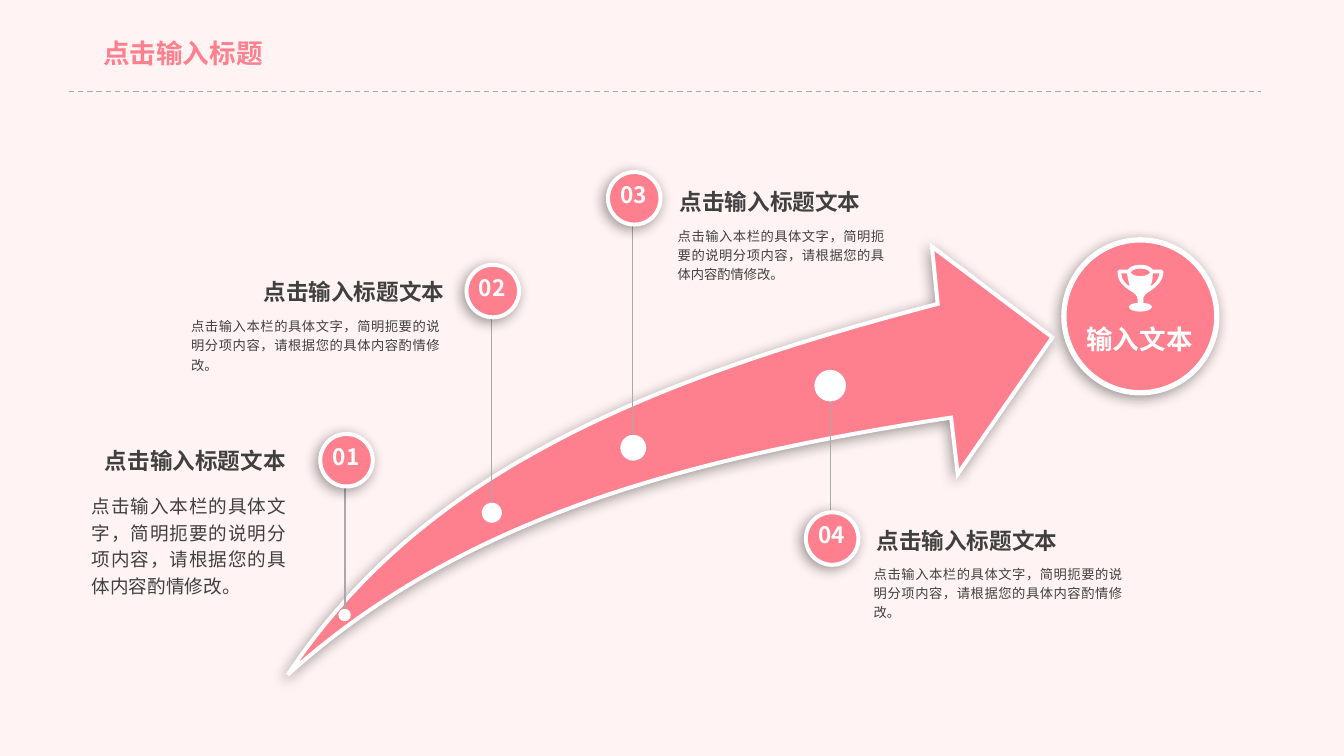
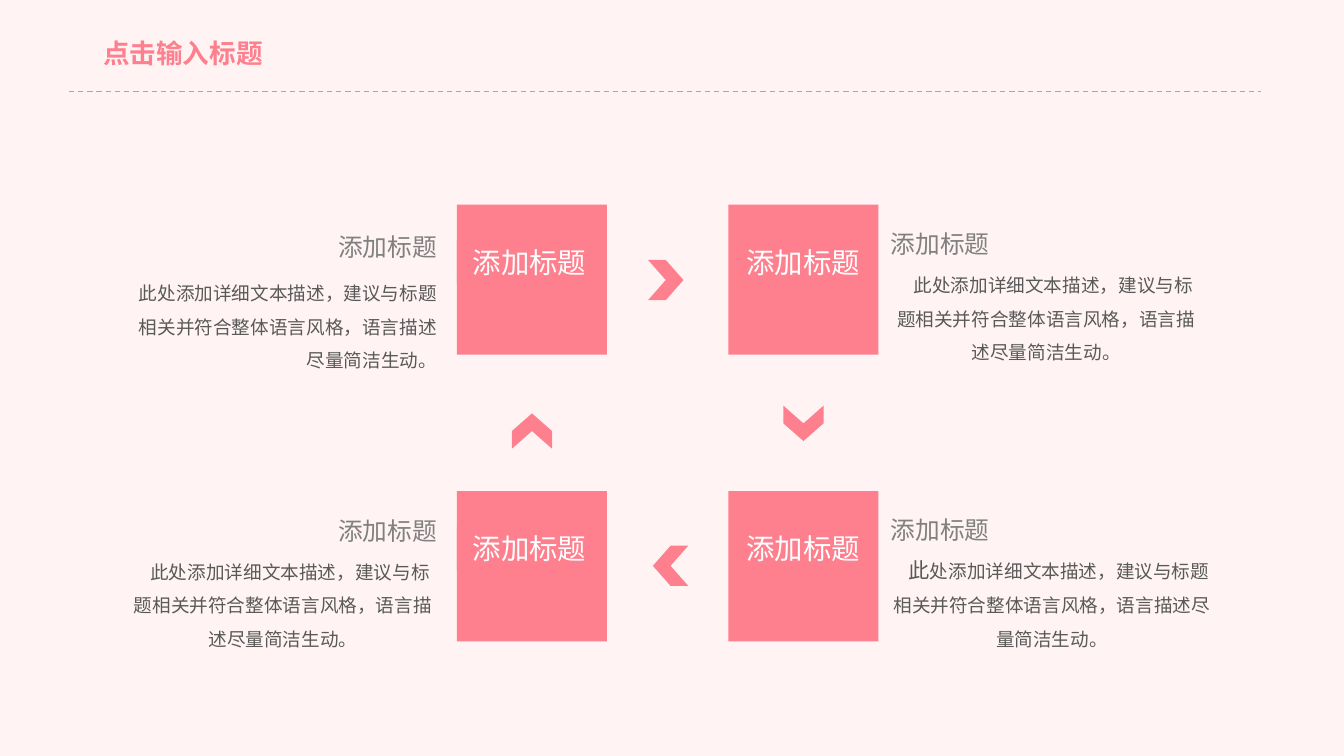
from lxml import etree
from pptx import Presentation
from pptx.dml.color import RGBColor
from pptx.enum.dml import MSO_LINE
from pptx.enum.shapes import MSO_CONNECTOR, MSO_SHAPE
from pptx.enum.text import MSO_ANCHOR, PP_ALIGN
from pptx.oxml.ns import qn
from pptx.util import Inches, Pt

WIDTH, HEIGHT = 14.06, 7.91
FONT = "Noto Sans CJK SC"
COLORS = {
    "background": "FFF4F3", "pink": "FE7F8D", "white": "FFFFFF", "number": "FCFCFC",
    "dark": "404040", "body": "595959", "heading": "808080", "rule": "A6AAA9",
}
OVAL, RECTANGLE, CHEVRON = MSO_SHAPE.OVAL, MSO_SHAPE.RECTANGLE, MSO_SHAPE.CHEVRON
STRAIGHT, DASH = MSO_CONNECTOR.STRAIGHT, MSO_LINE.DASH
TOP, MIDDLE = MSO_ANCHOR.TOP, MSO_ANCHOR.MIDDLE
LEFT, CENTER, RIGHT, JUSTIFY = PP_ALIGN.LEFT, PP_ALIGN.CENTER, PP_ALIGN.RIGHT, PP_ALIGN.JUSTIFY

TITLE = "点击输入标题"
STEP_HEADING = "点击输入标题文本"
STEP_BODY = "点击输入本栏的具体文字，简明扼要的说明分项内容，请根据您的具体内容酌情修改。"
GOAL = "输入文本"
CYCLE_HEADING = "添加标题"
CYCLE_BODY = "此处添加详细文本描述，建议与标题相关并符合整体语言风格，语言描述尽量简洁生动。"

# Dot is left, top, diameter; badge is left, top; heading and body are left, top, width.
STEPS = [
    {"number": "01", "dot": (3.54, 6.37, 0.13), "badge": (3.35, 4.54), "align": RIGHT,
     "line": (3.61, 6.43), "heading": (0.86, 4.6, 2.13), "body": (0.96, 5.13, 2.03), "size": 14},
    {"number": "02", "dot": (5.04, 5.26, 0.21), "badge": (4.88, 2.77), "align": RIGHT,
     "line": (5.14, 5.36), "heading": (2.05, 2.83, 2.6), "body": (2, 3.3, 2.6), "size": 10},
    {"number": "03", "dot": (6.49, 4.55, 0.27), "badge": (6.36, 1.8), "align": LEFT,
     "line": (6.62, 4.67), "heading": (7.11, 1.89, 2.14), "body": (7.09, 2.35, 2.16), "size": 10},
    {"number": "04", "dot": (8.52, 3.87, 0.33), "badge": (8.43, 5.36), "align": LEFT,
     "line": (8.69, 4.03), "heading": (9.17, 5.44, 2.14), "body": (9.14, 5.89, 2.6), "size": 10},
]
BADGE = 0.55
GOAL_CIRCLE, GOAL_LABEL = (11.13, 2.51, 1.6, 1.6), (11.33, 3.33, 1.18, 0.47)

# Two numbers make a straight side, six make a cubic curve.
ARROW = [[
    (3.01, 7.06), (3.65, 6.1, 4.51, 5.33, 5.62, 4.72), (6.75, 4.09, 8.16, 3.61, 9.81, 3.18),
    (9.75, 2.58), (11.01, 3.53), (10.02, 4.96), (9.95, 4.37),
    (8.44, 4.6, 7.11, 4.89, 5.98, 5.31), (4.82, 5.74, 3.84, 6.31, 3.01, 7.06),
]]
TROPHY = [
    [(11.73, 2.86), (11.79, 2.86), (11.8, 2.92, 11.81, 2.97, 11.82, 3),
     (11.78, 2.97, 11.73, 2.93, 11.73, 2.86)],
    [(11.93, 2.81), (12, 2.81, 12.03, 2.84, 12.03, 2.85), (12.03, 2.86, 12, 2.89, 11.93, 2.89),
     (11.86, 2.89, 11.83, 2.86, 11.83, 2.85), (11.83, 2.84, 11.86, 2.81, 11.93, 2.81)],
    [(12.03, 3), (12.05, 2.97, 12.06, 2.92, 12.06, 2.86), (12.13, 2.86),
     (12.12, 2.93, 12.08, 2.97, 12.03, 3)],
    [(11.96, 3.13), (11.96, 3.09, 11.99, 3.07, 12.04, 3.04), (12.09, 3, 12.17, 2.95, 12.17, 2.84),
     (12.17, 2.83, 12.16, 2.82, 12.15, 2.82), (12.06, 2.82),
     (12.04, 2.8, 12.01, 2.77, 11.93, 2.77), (11.85, 2.77, 11.81, 2.8, 11.8, 2.82),
     (11.71, 2.82), (11.7, 2.82, 11.69, 2.83, 11.69, 2.84),
     (11.69, 2.95, 11.76, 3, 11.82, 3.04), (11.87, 3.07, 11.9, 3.09, 11.9, 3.13),
     (11.9, 3.17), (11.85, 3.17, 11.81, 3.19, 11.81, 3.21),
     (11.81, 3.24, 11.86, 3.26, 11.93, 3.26), (11.99, 3.26, 12.05, 3.24, 12.05, 3.21),
     (12.05, 3.19, 12.01, 3.17, 11.96, 3.17)],
]

SQUARE = 1.57
# Left edge of the square, left edge of its label
COLUMNS = [(4.78, 4.78), (7.62, 7.64)]
ROWS = [2.14, 5.14]
LABEL_DROP, LABEL_WIDTH, LABEL_HEIGHT = 0.37, 1.52, 0.46
# Left, top, rotation
CHEVRONS = [(8.22, 4.22, 90), (6.78, 2.72, 0), (5.38, 4.3, 270), (6.83, 5.71, 180)]
# Box, heading alignment, body alignment, space before the body, larger first characters
CYCLE_TEXTS = [
    ((1.17, 2.38, 3.5, 1.17), RIGHT, RIGHT, 7, 0),
    ((1.25, 5.35, 3.42, 1.17), RIGHT, CENTER, 3, 0),
    ((9.22, 2.35, 3.45, 1.2), LEFT, CENTER, 3, 0),
    ((9.22, 5.34, 3.57, 1.2), LEFT, CENTER, 0, 1),
]
TEXT_MARGINS = (0.1, 0.05, 0.1, 0.05)


def rgb(name):
    return RGBColor.from_string(COLORS[name])


def paint(shape, fill, outline=0):
    """Fill a shape; an outline width also gives it a white edge and soft shadow."""
    shape.fill.solid()
    shape.fill.fore_color.rgb = rgb(fill)
    shape.shadow.inherit = False
    if not outline:
        shape.line.fill.background()
        return
    shape.line.color.rgb = rgb("white")
    shape.line.width = Pt(outline)
    properties = shape._element.spPr
    etree.SubElement(properties.find(qn("a:ln")), qn("a:miter"), lim="800000")
    shadow = etree.SubElement(properties.find(qn("a:effectLst")), qn("a:outerShdw"),
                              blurRad=str(Pt(10)), dist=str(Pt(3)), dir=str(135 * 60000),
                              algn="tr", rotWithShape="0")
    color = etree.SubElement(shadow, qn("a:srgbClr"), val="000000")
    etree.SubElement(color, qn("a:alpha"), val="40000")


def add_shape(slide, kind, left, top, width, height, fill="pink", outline=0):
    shape = slide.shapes.add_shape(kind, *map(Inches, (left, top, width, height)))
    paint(shape, fill, outline)
    return shape


def add_outline(slide, contours, fill, outline=0):
    """Draw contours as one freeform, then bend the sides that are curves."""
    builder = None
    for contour in contours:
        corners = [(Inches(part[-2]), Inches(part[-1])) for part in contour]
        if builder is None:
            builder = slide.shapes.build_freeform(*corners[0])
        else:
            builder.move_to(*corners[0])
        builder.add_line_segments(corners[1:], close=True)
    shape = builder.convert_to_shape()
    paint(shape, fill, outline)
    # Closing may add a straight side back to the start, so sides are matched per contour.
    sides = iter([])
    contour_iterator = iter(contours)
    for command in list(shape._element.spPr.iter(qn("a:moveTo"), qn("a:lnTo"))):
        if command.tag == qn("a:moveTo"):
            sides = iter(next(contour_iterator)[1:])
            continue
        part = next(sides, ())
        if len(part) == 6:
            command.getparent().replace(command, curve_element(part, shape.left, shape.top))


def curve_element(part, left, top):
    curve = etree.Element(qn("a:cubicBezTo"))
    for x, y in zip(part[::2], part[1::2]):
        etree.SubElement(curve, qn("a:pt"), x=str(Inches(x) - left), y=str(Inches(y) - top))
    return curve


def add_line(slide, start, end, dash=None):
    line = slide.shapes.add_connector(STRAIGHT, *map(Inches, start + end))
    line.line.color.rgb = rgb("rule")
    line.line.width = Pt(1)
    if dash:
        line.line.dash_style = dash
    etree.SubElement(line._element.spPr, qn("a:effectLst"))


def style(paragraph, size, color, align=LEFT, bold=False, spacing=None):
    paragraph.alignment = align
    if spacing:
        paragraph.line_spacing = spacing
    font = paragraph.font
    font.size, font.bold, font.name = Pt(size), bold, FONT
    font.color.rgb = rgb(color)
    defaults = paragraph._p.pPr.find(qn("a:defRPr"))
    etree.SubElement(defaults, qn("a:ea"), typeface=FONT)


def set_frame(shape, margins=(0, 0, 0, 0), anchor=TOP, wrap=True):
    frame = shape.text_frame
    frame.word_wrap = wrap
    frame.vertical_anchor = anchor
    (frame.margin_left, frame.margin_top,
     frame.margin_right, frame.margin_bottom) = map(Inches, margins)
    return frame


def write(shape, text, size, color, align=LEFT, bold=False, spacing=None, **frame_options):
    paragraph = set_frame(shape, **frame_options).paragraphs[0]
    paragraph.text = text
    style(paragraph, size, color, align, bold, spacing)


def add_textbox(slide, left, top, width, height):
    return slide.shapes.add_textbox(*map(Inches, (left, top, width, height)))


def add_slide(presentation):
    slide = presentation.slides.add_slide(presentation.slide_layouts[6])
    slide.background.fill.solid()
    slide.background.fill.fore_color.rgb = rgb("background")
    return slide


def add_header(slide):
    write(add_textbox(slide, 0.97, 0.34, 1.9, 0.44), TITLE, 20, "pink", bold=True,
          margins=(0.11, 0.05, 0.11, 0.05), wrap=False)
    add_line(slide, (0.72, 0.96), (13.19, 0.96), DASH)


def build_growth_arrow(slide):
    add_outline(slide, ARROW, "pink", outline=3)
    for step in STEPS:
        left, top = step["badge"]
        x, y = step["line"]
        add_line(slide, (x, y), (x, top + BADGE / 2))
        add_shape(slide, OVAL, left, top, BADGE, BADGE, outline=3)
        diameter = step["dot"][2]
        add_shape(slide, OVAL, *step["dot"], diameter, "white")
        write(add_textbox(slide, left + 0.12, top + 0.1, 0.3, 0.36), step["number"], 17,
              "number", CENTER, True, Pt(14), anchor=MIDDLE)
        write(add_textbox(slide, *step["heading"], 0.47), STEP_HEADING, 17, "dark",
              step["align"], True, 0.9, anchor=MIDDLE)
        write(add_textbox(slide, *step["body"], 0.72), STEP_BODY, step["size"], "dark",
              JUSTIFY, spacing=1.2)
    add_shape(slide, OVAL, *GOAL_CIRCLE, outline=4)
    add_outline(slide, TROPHY, "white")
    write(add_textbox(slide, *GOAL_LABEL), GOAL, 20, "white", CENTER, True, 0.9, anchor=MIDDLE)


def build_cycle(slide):
    for left, top, rotation in CHEVRONS:
        add_shape(slide, CHEVRON, left, top, 0.37, 0.42).rotation = rotation
    for top in ROWS:
        for left, label_left in COLUMNS:
            add_shape(slide, RECTANGLE, left, top, SQUARE, SQUARE)
            label = add_shape(slide, RECTANGLE, label_left, top + LABEL_DROP,
                              LABEL_WIDTH, LABEL_HEIGHT)
            write(label, CYCLE_HEADING, 21.4, "white", CENTER,
                  margins=TEXT_MARGINS, anchor=MIDDLE)
    for box, heading_align, body_align, space, larger in CYCLE_TEXTS:
        frame = set_frame(add_textbox(slide, *box), TEXT_MARGINS)
        heading, body = frame.paragraphs[0], frame.add_paragraph()
        heading.text = CYCLE_HEADING
        style(heading, 18.6, "heading", heading_align)
        if larger:
            first = body.add_run()
            first.text = CYCLE_BODY[:larger]
            first.font.size = Pt(16)
        body.add_run().text = CYCLE_BODY[larger:]
        body.space_before = Pt(space)
        style(body, 14, "body", body_align, spacing=1.5)
        body._p.pPr.set("indent", str(Inches(0.15)))


def main():
    presentation = Presentation()
    presentation.slide_width, presentation.slide_height = Inches(WIDTH), Inches(HEIGHT)
    for build in (build_growth_arrow, build_cycle):
        slide = add_slide(presentation)
        build(slide)
        add_header(slide)
    presentation.save("out.pptx")


if __name__ == "__main__":
    main()
